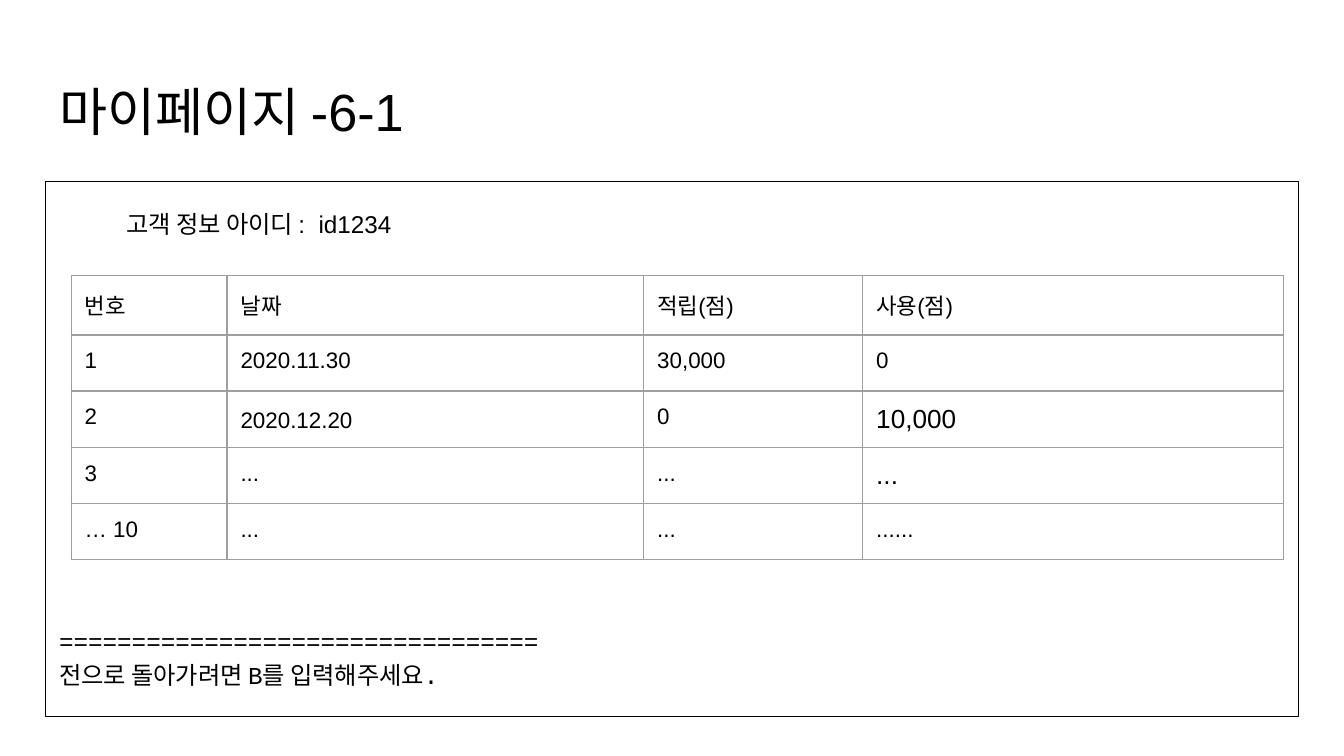
from dataclasses import dataclass

from lxml import etree
from pptx import Presentation
from pptx.dml.color import RGBColor
from pptx.enum.text import MSO_ANCHOR, MSO_AUTO_SIZE, PP_ALIGN
from pptx.oxml.ns import qn
from pptx.util import Inches, Pt

TOP = MSO_ANCHOR.TOP
LEFT = PP_ALIGN.LEFT
NO_FIT = MSO_AUTO_SIZE.NONE
SLIDE_WIDTH = Inches(10)
SLIDE_HEIGHT = SLIDE_WIDTH * 9 // 16
MARGIN = Inches(0.1)


@dataclass(frozen=True)
class Theme:
    """Fonts, colours and type sizes of the slide."""
    sans: str = "Arial"
    mono: str = "Courier New"
    ink: str = "000000"
    grid: str = "9E9E9E"
    title: int = 28
    body: int = 13
    cell: int = 12
    large_cell: int = 14
    rule: float = 0.75


THEME = Theme()


@dataclass(frozen=True)
class Area:
    """A rectangle in inches on the slide grid."""
    left: float
    top: float
    width: float
    height: float


@dataclass(frozen=True)
class Line:
    """One paragraph of the console screen."""
    text: str
    font: str
    spacing: float
    before: float = 0
    indent: float = 0


@dataclass(frozen=True)
class Entry:
    """One table cell's text with its size and line spacing."""
    text: str
    size: int = THEME.cell
    spacing: float = 1.0


TITLE_AREA = Area(0.34, 0.49, 9.32, 0.63)
SCREEN_AREA = Area(0.34, 1.35, 9.32, 3.98)
POINTS_LEFT, POINTS_TOP = Inches(0.53), Inches(2.05)
COLUMNS = tuple(Inches(width) for width in (1.16, 3.1, 1.63, 3.13))
ROWS = (Pt(31.5),) + (Pt(30),) * 4

SCREEN_LINES = (
    Line("고객 정보 아이디 :  id1234", THEME.sans, 1.5, indent=0.5),
    Line("=" * 33, THEME.mono, 1.15, before=205.5),
    Line("전으로 돌아가려면 B를 입력해주세요.", THEME.mono, 1.15),
)
POINTS = (
    (Entry("번호"), Entry("날짜"), Entry("적립(점)"), Entry("사용(점)")),
    (Entry("1"), Entry("2020.11.30"), Entry("30,000"), Entry("0")),
    (Entry("2"), Entry("2020.12.20", spacing=1.15), Entry("0"),
     Entry("10,000", THEME.large_cell)),
    (Entry("3"), Entry("..."), Entry("..."), Entry("...", THEME.large_cell)),
    (Entry("… 10"), Entry("..."), Entry("..."), Entry("......")),
)


def place(holder, area: Area) -> None:
    """Move a placeholder and give its text frame even margins."""
    holder.left, holder.top = Inches(area.left), Inches(area.top)
    holder.width, holder.height = Inches(area.width), Inches(area.height)
    frame = holder.text_frame
    frame.margin_left = frame.margin_right = MARGIN
    frame.margin_top = frame.margin_bottom = MARGIN
    frame.word_wrap, frame.auto_size = True, NO_FIT
    frame.vertical_anchor = TOP


def write(paragraph, text: str, size: float, font: str, spacing: float = 1.0) -> None:
    """Add one formatted run to a left-aligned paragraph."""
    paragraph.alignment, paragraph.line_spacing = LEFT, spacing
    run = paragraph.add_run()
    run.text = text
    run.font.size, run.font.name = Pt(size), font
    run.font.color.rgb = RGBColor.from_string(THEME.ink)


def draw_screen(holder) -> None:
    """Fill the framed console screen."""
    place(holder, SCREEN_AREA)
    holder.line.color.rgb = RGBColor.from_string(THEME.ink)
    holder.line.width = Pt(THEME.rule)
    frame = holder.text_frame
    for index, line in enumerate(SCREEN_LINES):
        paragraph = frame.add_paragraph() if index else frame.paragraphs[0]
        properties = paragraph._p.get_or_add_pPr()
        properties.set("marL", str(Inches(line.indent)))
        properties.set("indent", "0")
        etree.SubElement(properties, qn("a:buNone"))
        paragraph.space_before = Pt(line.before)
        write(paragraph, line.text, THEME.body, line.font, line.spacing)


def outline(cell) -> None:
    """Draw the four borders of a cell and clear its fill."""
    properties = cell._tc.get_or_add_tcPr()
    for side in ("a:lnL", "a:lnR", "a:lnT", "a:lnB"):
        border = etree.SubElement(properties, qn(side), w=str(Pt(THEME.rule)))
        fill = etree.SubElement(border, qn("a:solidFill"))
        etree.SubElement(fill, qn("a:srgbClr"), val=THEME.grid)
    cell.fill.background()


def draw_points(slide) -> None:
    """Add the table of earned and spent points."""
    table = slide.shapes.add_table(
        len(ROWS), len(COLUMNS), POINTS_LEFT, POINTS_TOP,
        sum(COLUMNS), sum(ROWS)).table
    table.first_row = table.horz_banding = False
    for column, width in zip(table.columns, COLUMNS):
        column.width = width
    for row, height, entries in zip(table.rows, ROWS, POINTS):
        row.height = height
        for cell, entry in zip(row.cells, entries):
            cell.margin_left = cell.margin_right = MARGIN
            cell.margin_top = cell.margin_bottom = MARGIN
            cell.vertical_anchor = TOP
            outline(cell)
            write(cell.text_frame.paragraphs[0], entry.text, entry.size,
                  THEME.sans, entry.spacing)


def main() -> None:
    """Build and save the slide."""
    deck = Presentation()
    deck.slide_width, deck.slide_height = SLIDE_WIDTH, SLIDE_HEIGHT
    slide = deck.slides.add_slide(deck.slide_layouts[1])
    heading, screen = slide.placeholders
    place(heading, TITLE_AREA)
    write(heading.text_frame.paragraphs[0], "마이페이지 -6-1", THEME.title, THEME.sans)
    draw_screen(screen)
    draw_points(slide)
    deck.save("out.pptx")


if __name__ == "__main__":
    main()
